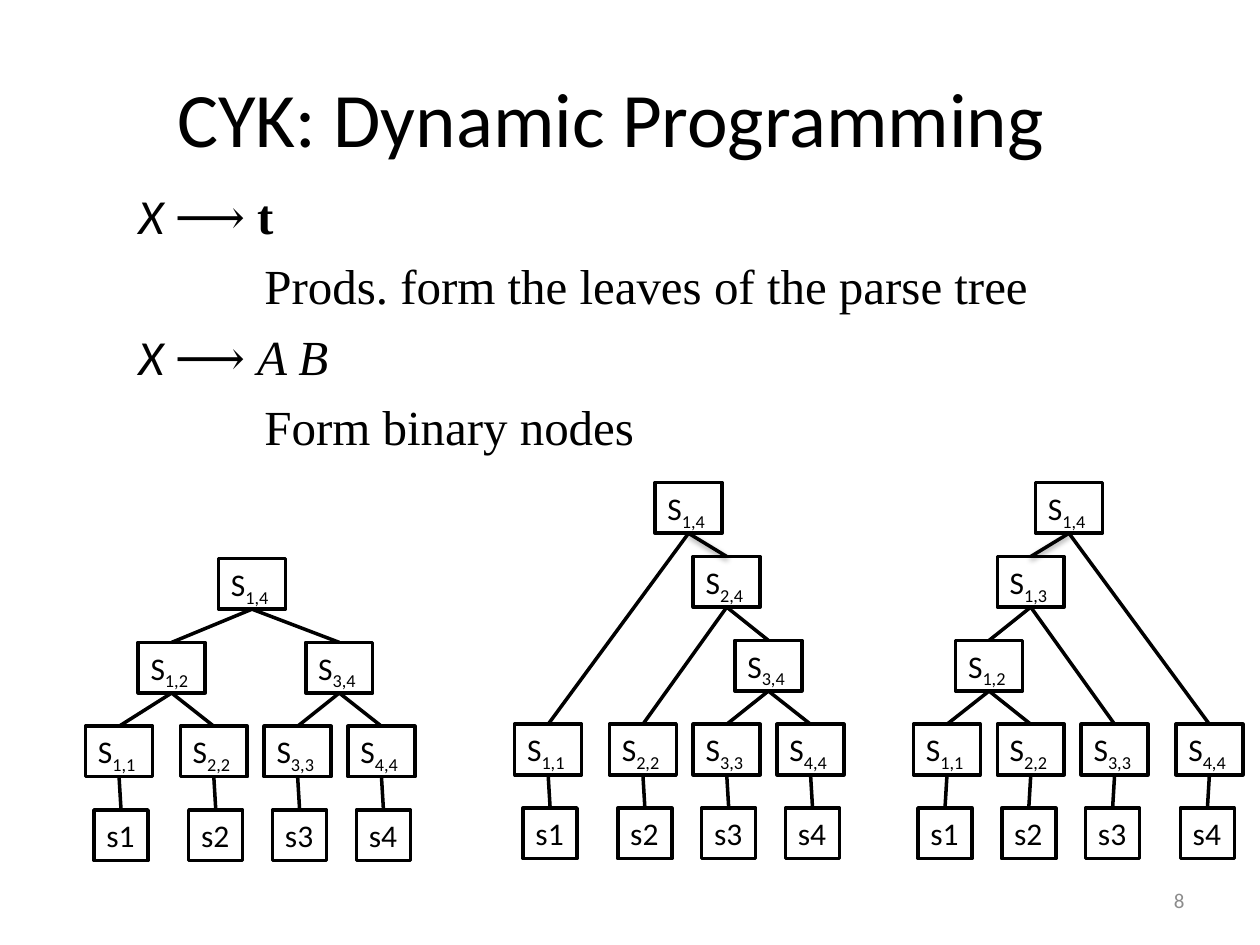
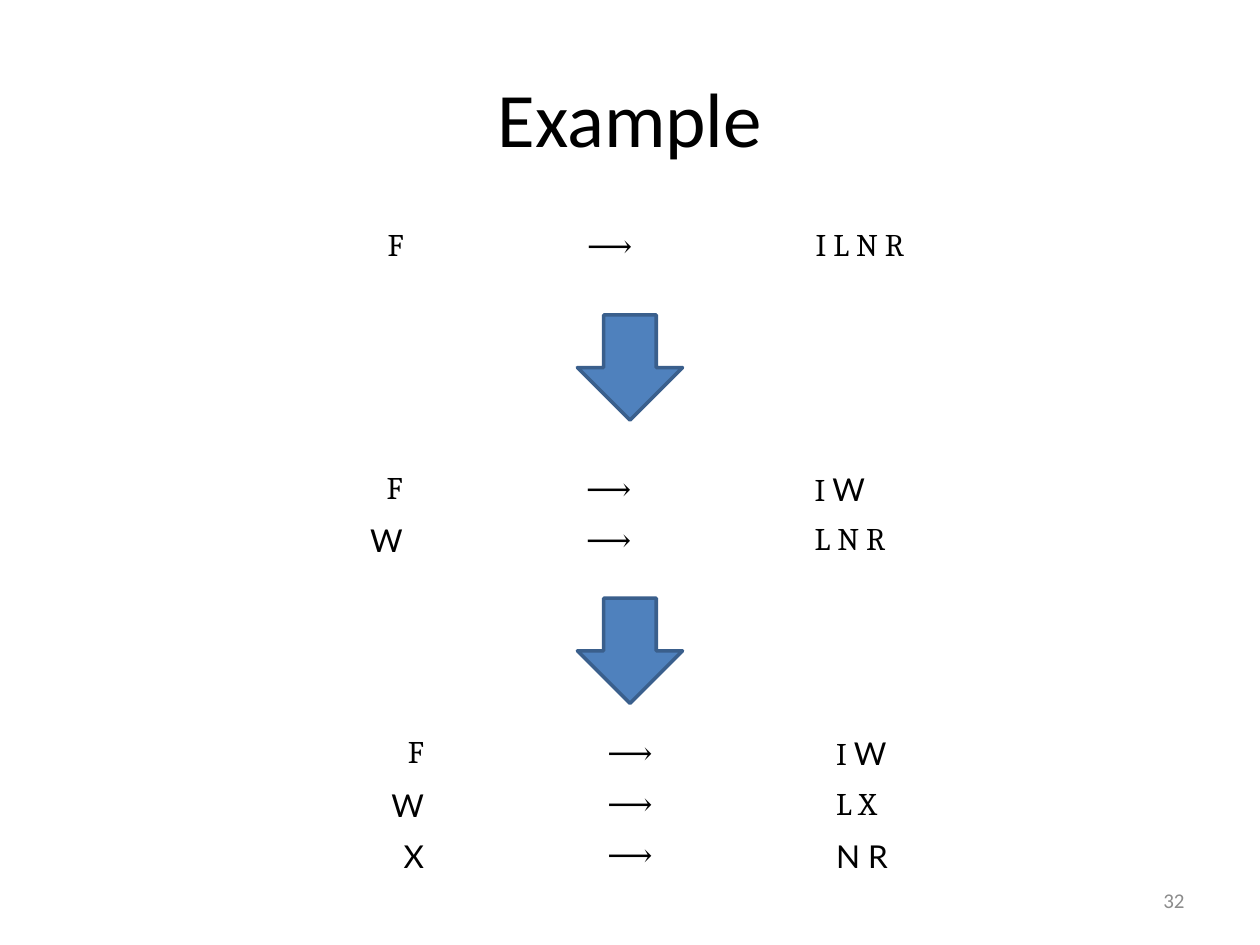
from lxml import etree
from pptx import Presentation
from pptx import util as u
from pptx.dml.color import RGBColor
from pptx.enum import shapes, text
from pptx.oxml import ns

BLACK = RGBColor(0x00, 0x00, 0x00)
WHITE = RGBColor(0xFF, 0xFF, 0xFF)
GREY = RGBColor(0x8C, 0x8C, 0x8C)
BLUE = RGBColor(0x4F, 0x81, 0xBD)
DARK_BLUE = RGBColor(0x3A, 0x5F, 0x8C)

SANS, SERIF, TIMES, LATO = "Calibri", "Cambria", "Times New Roman", "Lato"
LEFT, CENTER, RIGHT = text.PP_ALIGN.LEFT, text.PP_ALIGN.CENTER, text.PP_ALIGN.RIGHT
ARROW = "⟶"

RULES = [
    (1.27, [("X ", SANS, "i"), (ARROW + " ", TIMES, ""), ("t", TIMES, "b")]),
    (3.81, [("Prods. form the leaves of the parse tree", TIMES, "")]),
    (1.27, [("X ", SANS, "i"), (ARROW + " ", TIMES, ""), ("A B", TIMES, "i")]),
    (3.81, [("Form binary nodes", TIMES, "")]),
]

LEAF_OFFSETS = (0, 1.91, 3.6, 5.29)
LEAVES = ("1,1", "2,2", "3,3", "4,4")
LEVEL_STEP = 1.69
BOX_HEIGHT, NODE_WIDTH, WORD_WIDTH = 1.02, 1.35, 1.09
WORD_SHIFT = 0.04

# Each inner node: span, offset from the first leaf, rise above the leaves, children
TREES = [
    dict(start=2.4, direction=1, leaf_top=14.64, shaded=(), inner=[
        ("1,2", 1.06, 1.69, ("1,1", "2,2")),
        ("3,4", 4.44, 1.69, ("3,3", "4,4")),
        ("1,4", 2.68, 3.38, ("1,2", "3,4"))]),
    dict(start=11.05, direction=1, leaf_top=14.6, shaded=("2,4",), inner=[
        ("3,4", 4.44, 1.69, ("3,3", "4,4")),
        ("2,4", 3.6, 3.38, ("2,2", "3,4")),
        ("1,4", 2.83, 4.87, ("1,1", "2,4"))]),
    dict(start=24.38, direction=-1, leaf_top=14.6, shaded=("1,3",), inner=[
        ("1,2", 4.44, 1.69, ("1,1", "2,2")),
        ("1,3", 3.6, 3.38, ("1,2", "3,3")),
        ("1,4", 2.83, 4.87, ("1,3", "4,4"))]),
]

F_TO_IW = (("F", SERIF), [("I ", SERIF), ("W", LATO)])
GRAMMARS = [
    (0.86, 4.45, [(("F", SERIF), [("I L N R", SERIF)])]),
    (0.84, 9.35, [F_TO_IW, (("W", LATO), [("L N R", SERIF)])]),
    (1.27, 14.68, [F_TO_IW, (("W", LATO), [("L X", SERIF)]),
                   (("X", LATO), [("N R", LATO)])]),
]
COLUMN_WIDTHS = (7.53, 7.8, 7.53)
ROW_HEIGHT = 1.03
STEP_TOPS = (6.35, 12.06)
STEP_SIZE = 2.12


def style(font, size, name=SANS, color=BLACK):
    font.size, font.name = u.Pt(size), name
    font.color.rgb = color


def add_run(paragraph, words, size, name=SANS, flags=""):
    run = paragraph.add_run()
    run.text = words
    style(run.font, size, name)
    run.font.italic, run.font.bold = "i" in flags, "b" in flags
    return run


def add_text_box(slide, left, top, width, height, anchor=text.MSO_ANCHOR.MIDDLE):
    shape = slide.shapes.add_textbox(u.Cm(left), u.Cm(top), u.Cm(width), u.Cm(height))
    shape.text_frame.word_wrap = True
    shape.text_frame.vertical_anchor = anchor
    return shape.text_frame


def add_line_of_text(slide, box, words, size, color, alignment):
    paragraph = add_text_box(slide, *box).paragraphs[0]
    paragraph.text = words
    paragraph.alignment = alignment
    style(paragraph.font, size, color=color)


def add_slide(presentation, title, number, title_width=22.86):
    slide = presentation.slides.add_slide(presentation.slide_layouts[6])
    add_line_of_text(slide, (1.27, 0.76, title_width, 3.18), title, 44, BLACK, CENTER)
    add_line_of_text(slide, (18.2, 17.65, 5.93, 1.01), number, 12, GREY, RIGHT)
    return slide


def add_preset(slide, kind, left, top, width, height, fill, line):
    shape = slide.shapes.add_shape(kind, u.Cm(left), u.Cm(top), u.Cm(width), u.Cm(height))
    shape.shadow.inherit = False
    shape.fill.solid()
    shape.fill.fore_color.rgb = fill
    shape.line.color.rgb = line
    shape.line.width = u.Pt(2)
    return shape


def add_box(slide, center, top, width, words, subscript=""):
    shape = add_preset(slide, shapes.MSO_SHAPE.RECTANGLE, center - width / 2, top,
                       width, BOX_HEIGHT, WHITE, BLACK)
    frame = shape.text_frame
    frame.word_wrap = False
    frame.auto_size = text.MSO_AUTO_SIZE.SHAPE_TO_FIT_TEXT
    frame.vertical_anchor = text.MSO_ANCHOR.TOP
    paragraph = frame.paragraphs[0]
    paragraph.alignment = LEFT
    add_run(paragraph, words, 18)
    if subscript:
        run = add_run(paragraph, subscript, 18)
        run.font._element.set("baseline", "-25000")
    return shape


def add_edge(slide, parent, child, shaded=False):
    edge = slide.shapes.add_connector(shapes.MSO_CONNECTOR.STRAIGHT, 0, 0, 0, 0)
    edge.begin_connect(parent, 2)
    edge.end_connect(child, 0)
    edge.line.color.rgb = BLACK
    edge.line.width = u.Pt(2)
    effects = etree.SubElement(edge._element.spPr, ns.qn("a:effectLst"))
    if shaded:
        shadow = etree.SubElement(effects, ns.qn("a:outerShdw"), blurRad="40000",
                                  dist="20000", dir="5400000", rotWithShape="0")
        color = etree.SubElement(shadow, ns.qn("a:srgbClr"), val=str(BLACK))
        etree.SubElement(color, ns.qn("a:alpha"), val="38000")


def add_tree(slide, start, direction, leaf_top, shaded, inner):
    nodes = {}
    for index, offset in enumerate(LEAF_OFFSETS):
        leaf = index if direction > 0 else len(LEAVES) - 1 - index
        center = start + direction * offset
        nodes[LEAVES[leaf]] = add_box(slide, center, leaf_top, NODE_WIDTH, "S", LEAVES[leaf])
        word = add_box(slide, center + direction * WORD_SHIFT, leaf_top + LEVEL_STEP,
                       WORD_WIDTH, f"s{leaf + 1}")
        add_edge(slide, nodes[LEAVES[leaf]], word)
    for span, offset, rise, children in inner:
        nodes[span] = add_box(slide, start + direction * offset, leaf_top - rise,
                              NODE_WIDTH, "S", span)
        for child in children:
            add_edge(slide, nodes[span], nodes[child], child in shaded)


def add_rules(slide):
    frame = add_text_box(slide, 1.27, 3.61, 22.66, 5.72, text.MSO_ANCHOR.TOP)
    for index, (indent, runs) in enumerate(RULES):
        paragraph = frame.add_paragraph() if index else frame.paragraphs[0]
        paragraph.space_before = u.Pt(6.6)
        paragraph._p.get_or_add_pPr().set("marL", str(u.Cm(indent)))
        for words, name, flags in runs:
            add_run(paragraph, words, 28, name, flags)


def add_grammar(slide, left, top, productions):
    table = slide.shapes.add_table(
        len(productions), len(COLUMN_WIDTHS), u.Cm(left), u.Cm(top),
        u.Cm(sum(COLUMN_WIDTHS)), u.Cm(ROW_HEIGHT * len(productions))).table
    table.first_row = table.horz_banding = False
    for column, width in zip(table.columns, COLUMN_WIDTHS):
        column.width = u.Cm(width)
    for row, (symbol, expansion) in zip(table.rows, productions):
        contents = ([symbol], [(ARROW, TIMES)], expansion)
        for cell, runs, alignment in zip(row.cells, contents, (RIGHT, CENTER, LEFT)):
            cell.fill.solid()
            cell.fill.fore_color.rgb = WHITE
            cell.vertical_anchor = text.MSO_ANCHOR.MIDDLE
            paragraph = cell.text_frame.paragraphs[0]
            paragraph.alignment = alignment
            for words, name in runs:
                add_run(paragraph, words, 18, name)


def main():
    presentation = Presentation()
    presentation.slide_width, presentation.slide_height = u.Cm(25.4), u.Cm(19.05)

    slide = add_slide(presentation, "CYK: Dynamic Programming", "8", title_width=22.1)
    add_rules(slide)
    for tree in TREES:
        add_tree(slide, **tree)

    slide = add_slide(presentation, "Example", "32")
    for grammar in GRAMMARS:
        add_grammar(slide, *grammar)
    for top in STEP_TOPS:
        add_preset(slide, shapes.MSO_SHAPE.DOWN_ARROW, (25.4 - STEP_SIZE) / 2, top,
                   STEP_SIZE, STEP_SIZE, BLUE, DARK_BLUE)

    presentation.save("out.pptx")


if __name__ == "__main__":
    main()
